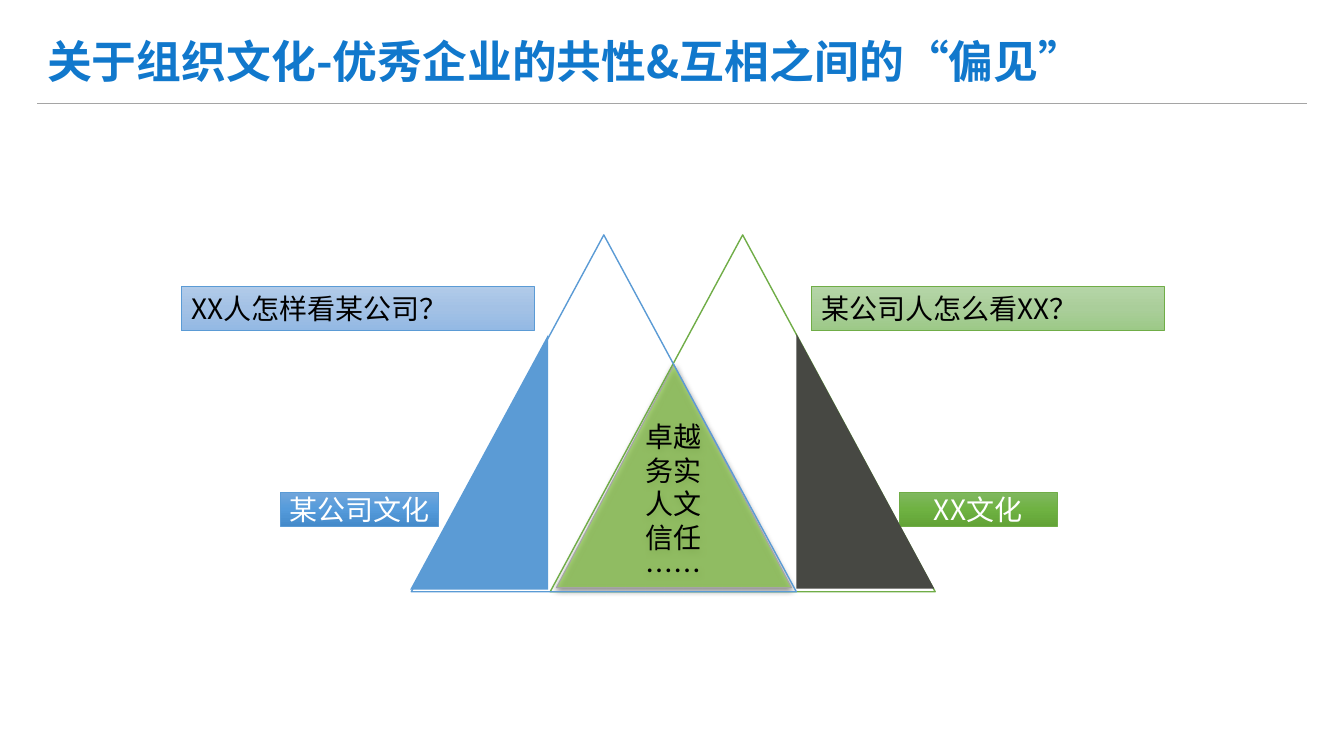
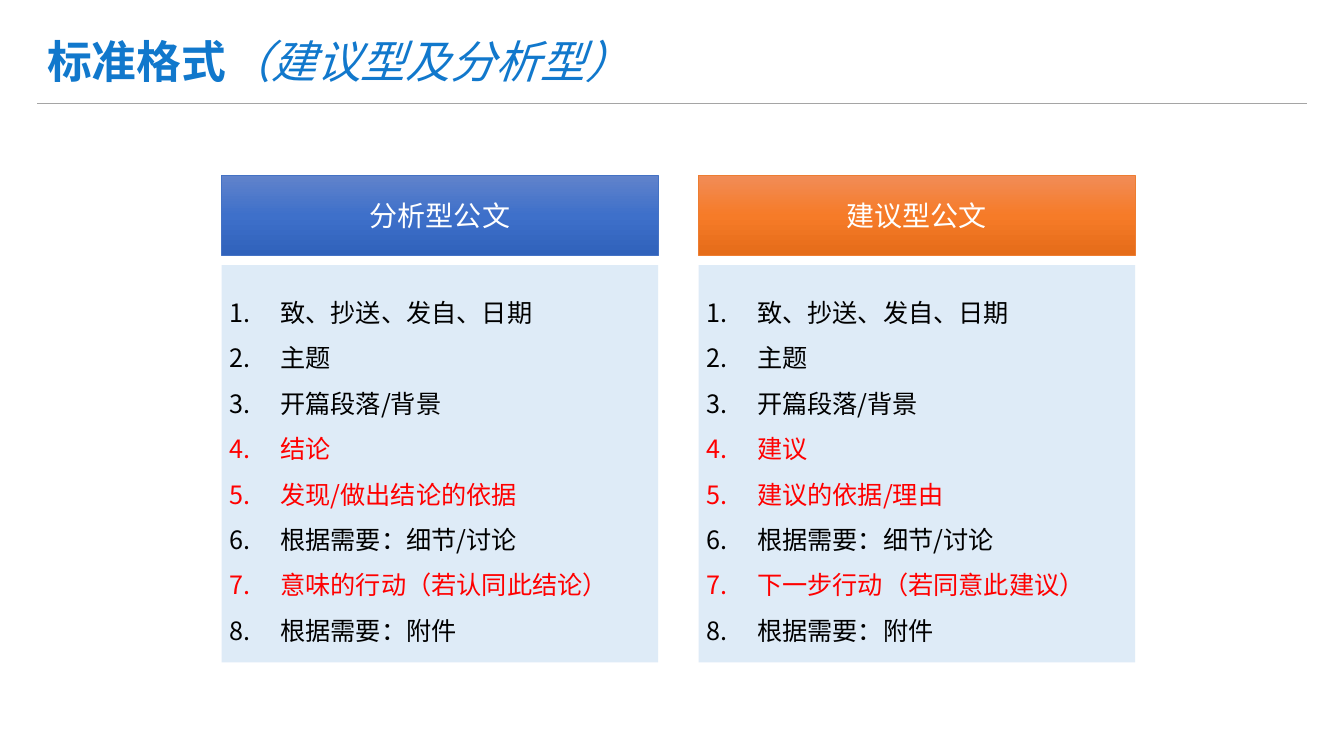
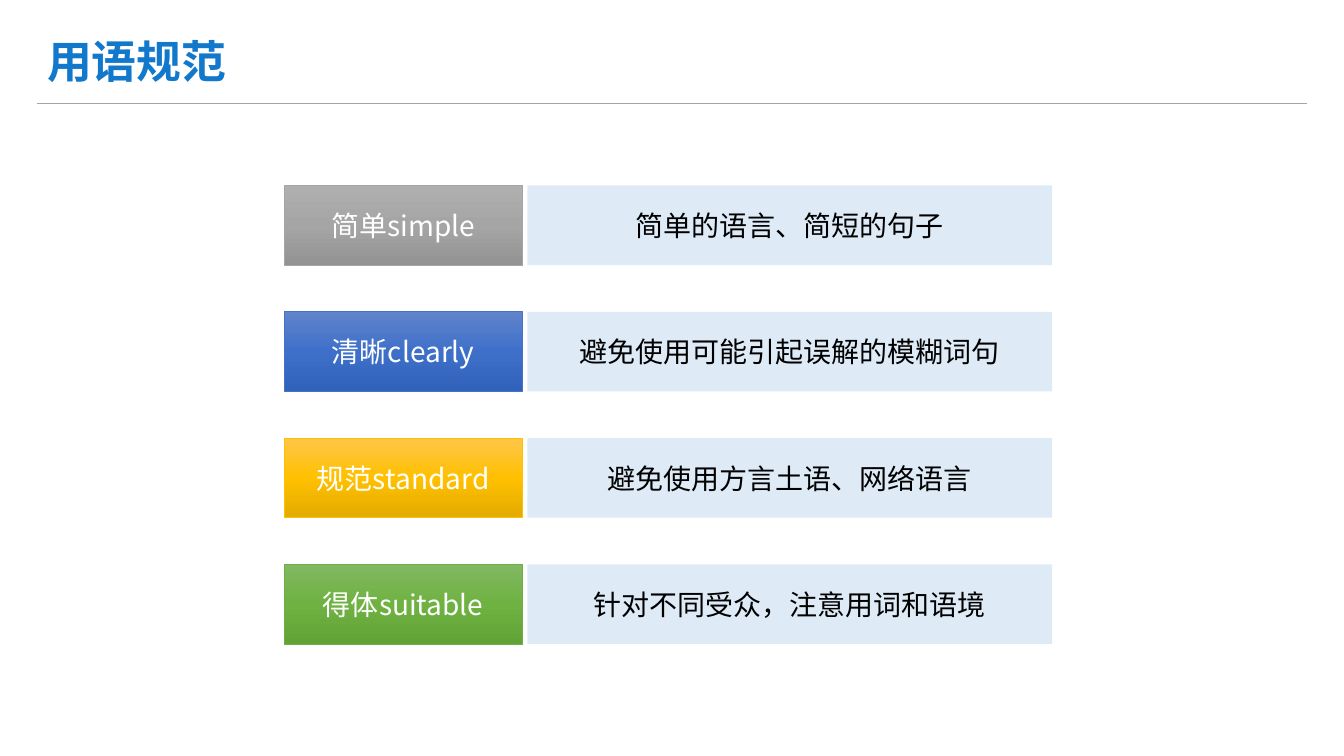
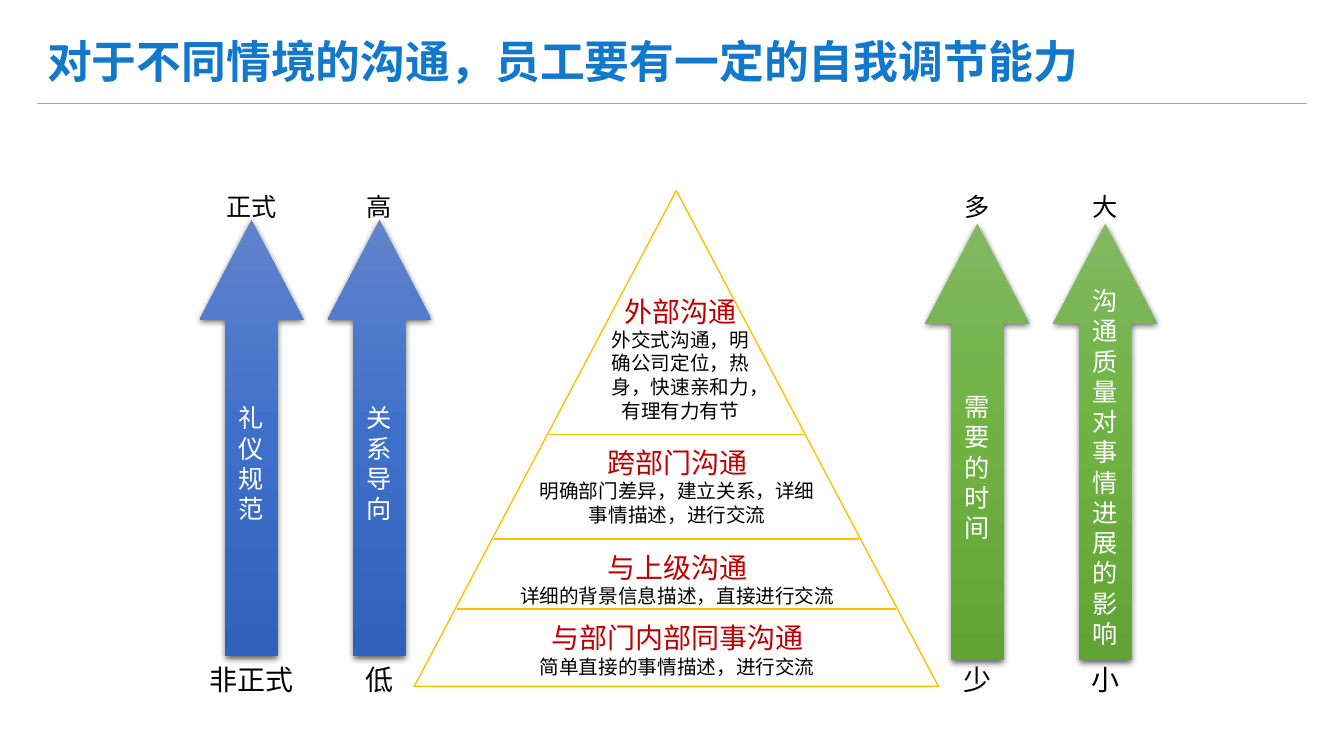
from copy import deepcopy

from lxml import etree
from pptx import Presentation
from pptx.dml.color import RGBColor
from pptx.enum.shapes import MSO_CONNECTOR, MSO_SHAPE
from pptx.enum.text import MSO_ANCHOR, PP_ALIGN
from pptx.oxml.ns import qn
from pptx.util import Pt

RECT = MSO_SHAPE.RECTANGLE
TRIANGLE = MSO_SHAPE.ISOSCELES_TRIANGLE
UP_ARROW = MSO_SHAPE.UP_ARROW
STRAIGHT = MSO_CONNECTOR.STRAIGHT
TOP, MIDDLE, BOTTOM = MSO_ANCHOR.TOP, MSO_ANCHOR.MIDDLE, MSO_ANCHOR.BOTTOM
LEFT, CENTER = PP_ALIGN.LEFT, PP_ALIGN.CENTER

FONT = "Noto Sans CJK SC"
BLACK = RGBColor(0x00, 0x00, 0x00)
WHITE = RGBColor(0xFF, 0xFF, 0xFF)
RED = RGBColor(0xFF, 0x00, 0x00)
DARK_RED = RGBColor(0xC0, 0x00, 0x00)
TITLE_BLUE = RGBColor(0x11, 0x78, 0xCC)
PALE_BLUE = RGBColor(0xDE, 0xEB, 0xF7)
GRAY = RGBColor(0xA5, 0xA5, 0xA5)
SKY = RGBColor(0x5B, 0x9B, 0xD5)
BLUE = RGBColor(0x44, 0x72, 0xC4)
ORANGE = RGBColor(0xED, 0x7D, 0x31)
GOLD = RGBColor(0xFF, 0xC0, 0x00)
GREEN = RGBColor(0x70, 0xAD, 0x47)
LIME = RGBColor(0x92, 0xD0, 0x50)
CHARCOAL = RGBColor(0x47, 0x48, 0x43)

SKY_BLEND = (RGBColor(0x71, 0xA6, 0xDB), RGBColor(0x55, 0x9B, 0xDB), RGBColor(0x44, 0x8A, 0xCA))
BLUE_BLEND = (RGBColor(0x61, 0x83, 0xCB), RGBColor(0x3E, 0x70, 0xCA), RGBColor(0x30, 0x62, 0xBB))
ORANGE_BLEND = (RGBColor(0xF1, 0x8C, 0x57), RGBColor(0xF6, 0x7B, 0x28), RGBColor(0xE5, 0x6C, 0x19))
GOLD_BLEND = (RGBColor(0xFF, 0xC6, 0x4B), RGBColor(0xFF, 0xC0, 0x00), RGBColor(0xE3, 0xAB, 0x00))
GREEN_BLEND = (RGBColor(0x81, 0xB8, 0x61), RGBColor(0x6F, 0xB2, 0x42), RGBColor(0x62, 0xA3, 0x36))
GRAY_BLEND = (RGBColor(0xAF, 0xAF, 0xAF), RGBColor(0xA5, 0xA5, 0xA5), RGBColor(0x93, 0x93, 0x93))
PALE_SKY_BLEND = (RGBColor(0xB1, 0xCB, 0xE9), RGBColor(0xA3, 0xC1, 0xE5), RGBColor(0x93, 0xB9, 0xE4))
PALE_GREEN_BLEND = (RGBColor(0xB5, 0xD5, 0xA7), RGBColor(0xAA, 0xCE, 0x9A), RGBColor(0x9C, 0xC9, 0x87))


class Pages:
    """Holds the deck, its shared style and the current slide."""

    def __init__(self):
        self.deck = Presentation()
        self.deck.slide_width, self.deck.slide_height = Pt(960), Pt(540)
        self.page = None

    def start(self, title, note=""):
        self.page = self.deck.slides.add_slide(self.deck.slide_layouts[6])
        self.line(26.6, 933.8, 73.5, GRAY, 0.5)
        box = self.page.shapes.add_textbox(Pt(26.6), Pt(22.3), Pt(880.6), Pt(42.5))
        self.frame(box, MIDDLE, (7.2, 3.6))
        para = box.text_frame.paragraphs[0]
        span = para.add_run()
        span.text, span.font.bold = title, True
        if note:
            span = para.add_run()
            span.text, span.font.italic = note, True
        self.style(para, 32, TITLE_BLUE, LEFT)

    def line(self, left, right, y, color, width):
        rule = self.page.shapes.add_connector(STRAIGHT, Pt(left), Pt(y), Pt(right), Pt(y))
        rule.line.color.rgb, rule.line.width = color, Pt(width)
        etree.SubElement(rule._element.spPr, qn("a:effectLst"))

    def frame(self, box, anchor, insets, wrap=True):
        frame = box.text_frame
        frame.word_wrap, frame.vertical_anchor = wrap, anchor
        frame.margin_left = frame.margin_right = Pt(insets[0])
        frame.margin_top = frame.margin_bottom = Pt(insets[1])

    def style(self, para, size, color, align):
        para.alignment = align
        font = para.font
        font.name, font.size, font.color.rgb = FONT, Pt(size), color
        defaults = para._p.pPr.find(qn("a:defRPr"))
        defaults.find(qn("a:latin")).addnext(etree.Element(qn("a:ea"), typeface=FONT))

    def fill_text(self, box, lines, size=20, color=BLACK, align=CENTER, anchor=MIDDLE,
                  insets=(0, 0), wrap=True):
        self.frame(box, anchor, insets, wrap)
        box.text_frame.text = "\n".join(lines)
        for para in box.text_frame.paragraphs:
            self.style(para, size, color, align)

    def shape(self, kind, left, top, width, height, fill=None, line=None, weight=0.5,
              adjust=()):
        shape = self.page.shapes.add_shape(kind, Pt(left), Pt(top), Pt(width), Pt(height))
        shape.shadow.inherit = False
        for index, value in enumerate(adjust):
            shape.adjustments[index] = value
        if fill is None:
            shape.fill.background()
        elif isinstance(fill, RGBColor):
            shape.fill.solid()
            shape.fill.fore_color.rgb = fill
        else:
            self.blend(shape, fill)
        if line is None:
            shape.line.fill.background()
        else:
            shape.line.color.rgb, shape.line.width = line, Pt(weight)
        return shape

    def blend(self, shape, colors):
        shape.fill.gradient()
        shape.fill.gradient_angle = 270
        stop_list = shape._element.spPr.find(qn("a:gradFill")).find(qn("a:gsLst"))
        stop_list.append(deepcopy(stop_list[0]))
        for index, (stop, color) in enumerate(zip(shape.fill.gradient_stops, colors)):
            stop.position, stop.color.rgb = index / 2, color

    def drop_shadow(self, shape):
        effects = shape._element.spPr.find(qn("a:effectLst"))
        shadow = etree.SubElement(effects, qn("a:outerShdw"), blurRad=str(Pt(4.5)),
                                  dist=str(Pt(1.5)), dir="5400000", rotWithShape="0")
        tint = etree.SubElement(shadow, qn("a:srgbClr"), val="000000")
        etree.SubElement(tint, qn("a:alpha"), val="63000")

    def see_through(self, shape, percent):
        color = shape._element.spPr.find(qn("a:solidFill"))[0]
        etree.SubElement(color, qn("a:alpha"), val=str(percent * 1000))

    def label(self, left, top, width, height, lines, size=20, color=BLACK):
        box = self.page.shapes.add_textbox(Pt(left), Pt(top), Pt(width), Pt(height))
        self.fill_text(box, lines, size, color, anchor=TOP)
        return box

    def card(self, left, top, width, height, text, fill, line=None, color=WHITE):
        box = self.shape(RECT, left, top, width, height, fill, line)
        self.fill_text(box, [text], color=color)

    def numbered(self, left, top, width, height, items, red_items):
        box = self.shape(RECT, left, top, width, height, PALE_BLUE)
        self.frame(box, MIDDLE, (5.8, 8.6))
        box.text_frame.text = "\n".join(items)
        for number, para in enumerate(box.text_frame.paragraphs, 1):
            para.line_spacing = 1.5
            props = para._p.get_or_add_pPr()
            props.set("marL", str(Pt(36)))
            props.set("indent", str(-Pt(36)))
            etree.SubElement(props, qn("a:buFont"), typeface="+mj-lt")
            etree.SubElement(props, qn("a:buAutoNum"), type="arabicPeriod")
            self.style(para, 18, RED if number in red_items else BLACK, LEFT)

    def scale_arrow(self, left, top, text, blend, high, low):
        arrow = self.shape(UP_ARROW, left, top, 74.2, 311.8, blend, adjust=(0.5, 0.962))
        self.drop_shadow(arrow)
        self.fill_text(arrow, list(text), 18, WHITE, wrap=False)
        self.label(left - 3.6, 136.8, 81.4, 21.6, [high], 18)
        self.label(left - 3.6, 473, 81.4, 24.5, [low])


def culture(pages):
    pages.start("关于组织文化-优秀企业的共性&互相之间的“偏见”")
    common = pages.shape(TRIANGLE, 397.5, 260.6, 167.8, 159.1, LIME, GRAY, 0.75)
    pages.see_through(common, 70)
    pages.drop_shadow(common)
    pages.fill_text(common, ["卓越", "务实", "人文", "信任", "……"], anchor=BOTTOM)
    for peak_left, color, label_left, text, blend in (
        (393, GREEN, 642.2, "XX文化", GREEN_BLEND),
        (293.8, SKY, 200.2, "某公司文化", SKY_BLEND),
    ):
        pages.shape(TRIANGLE, peak_left, 167.8, 275, 254.9, None, color, 1)
        pages.card(label_left, 351.4, 113, 24.5, text, blend, color)
    pages.shape(TRIANGLE, 293, 239, 98.6, 182.2, SKY, adjust=(1,))
    pages.shape(TRIANGLE, 568.8, 238.3, 98.6, 182.2, CHARCOAL, adjust=(0,))
    for left, text, blend, color in (
        (129.6, "XX人怎样看某公司？", PALE_SKY_BLEND, SKY),
        (579.6, "某公司人怎么看XX？", PALE_GREEN_BLEND, GREEN),
    ):
        question = pages.shape(RECT, left, 204.5, 252, 31.7, blend, color)
        pages.fill_text(question, [text], align=LEFT, anchor=TOP, insets=(7.2, 3.6))


def formats(pages):
    pages.start("标准格式", "（建议型及分析型）")
    columns = (
        ("分析型公文", BLUE_BLEND, BLUE, "结论", "发现/做出结论的依据", "意味的行动（若认同此结论）"),
        ("建议型公文", ORANGE_BLEND, ORANGE, "建议", "建议的依据/理由", "下一步行动（若同意此建议）"),
    )
    for index, (heading, blend, line, point, reason, action) in enumerate(columns):
        left = 158.4 + 340.6 * index
        pages.card(left, 125.3, 311.8, 56.9, heading, blend, line)
        items = ["致、抄送、发自、日期", "主题", "开篇段落/背景", point, reason,
                 "根据需要：细节/讨论", action, "根据需要：附件"]
        pages.numbered(left, 189.4, 311.8, 283.7, items, (4, 5, 7))


def wording(pages):
    pages.start("用语规范")
    rows = (
        ("简单simple", GRAY_BLEND, GRAY, "简单的语言、简短的句子"),
        ("清晰clearly", BLUE_BLEND, BLUE, "避免使用可能引起误解的模糊词句"),
        ("规范standard", GOLD_BLEND, GOLD, "避免使用方言土语、网络语言"),
        ("得体suitable", GREEN_BLEND, GREEN, "针对不同受众，注意用词和语境"),
    )
    for index, (name, blend, line, meaning) in enumerate(rows):
        top = 132.5 + 90.2 * index
        pages.card(203, top, 170, 56.9, name, blend, line)
        pages.card(376.6, top, 375, 56.9, meaning, PALE_BLUE, color=BLACK)


def situations(pages):
    pages.start("对于不同情境的沟通，员工要有一定的自我调节能力")
    middle, peak, width, height = 483.1, 136.1, 374.4, 354.2
    pages.shape(TRIANGLE, middle - width / 2, peak, width, height, WHITE, GOLD, 1)
    for y in (310.3, 384.9, 434.9):
        half = width / 2 * (y - peak) / height - 1
        pages.line(middle - half, middle + half, y, GOLD, 1)
    for left, top, box_width, box_height, name, detail in (
        (432.7, 210.2, 106.6, 92, "外部沟通", "外交式沟通，明确公司定位，热身，快速亲和力，有理有力有节"),
        (380.9, 318.2, 205.9, 58, "跨部门沟通", "明确部门差异，建立关系，详细事情描述，进行交流"),
        (356.4, 393.1, 254.9, 42, "与上级沟通", "详细的背景信息描述，直接进行交流"),
        (339.1, 443.5, 289.4, 42, "与部门内部同事沟通", "简单直接的事情描述，进行交流"),
    ):
        box = pages.label(left, top, box_width, box_height, [name, detail], 14)
        heading = box.text_frame.paragraphs[0].font
        heading.size, heading.color.rgb = Pt(20), DARK_RED
    for left, top, text, blend, high, low in (
        (142.6, 157, "礼仪规范", BLUE_BLEND, "正式", "非正式"),
        (234, 157, "关系导向", BLUE_BLEND, "高", "低"),
        (661, 159.8, "需要的时间", GREEN_BLEND, "多", "少"),
        (752.4, 159.8, "沟通质量对事情进展的影响", GREEN_BLEND, "大", "小"),
    ):
        pages.scale_arrow(left, top, text, blend, high, low)


def main():
    pages = Pages()
    for build in (culture, formats, wording, situations):
        build(pages)
    pages.deck.save("out.pptx")


if __name__ == "__main__":
    main()
